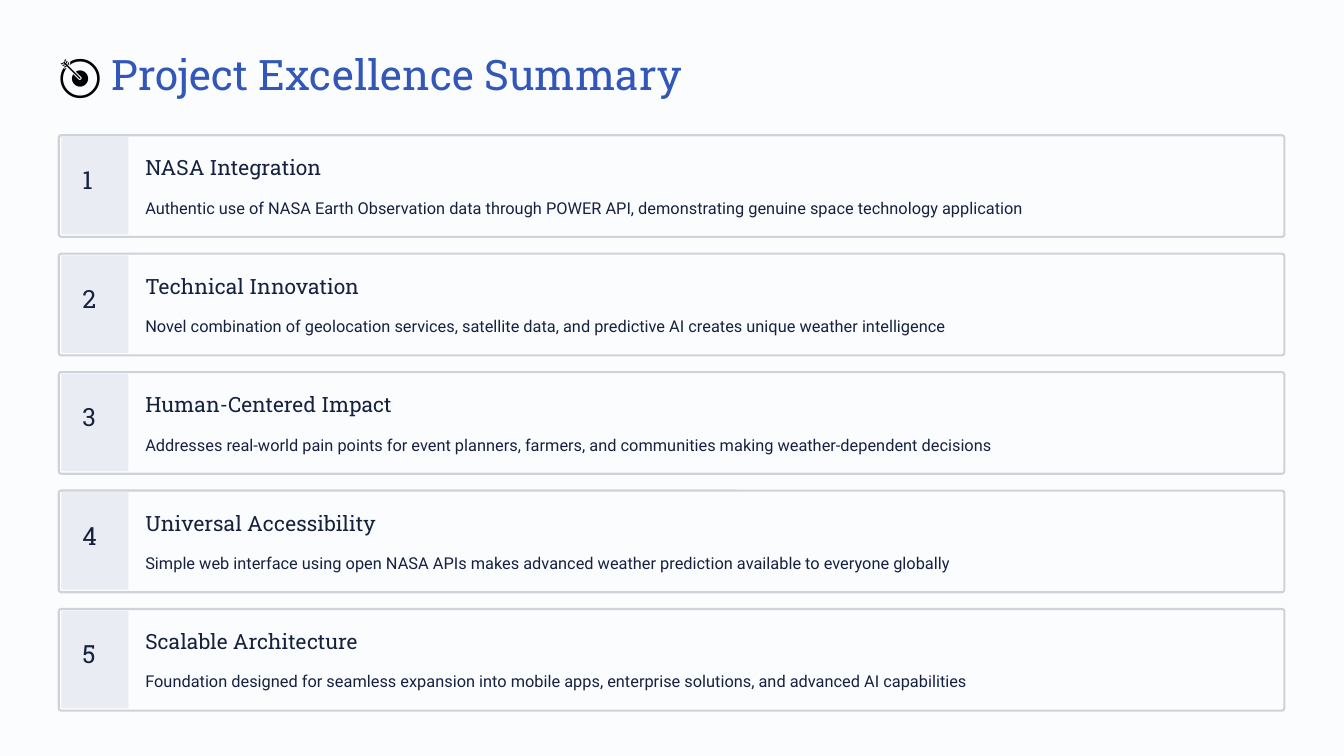
from dataclasses import dataclass
from typing import Any

from pptx import Presentation
from pptx.dml.color import RGBColor
from pptx.enum.shapes import MSO_SHAPE as Preset
from pptx.enum.text import MSO_ANCHOR as Anchor, MSO_AUTO_SIZE as AutoSize, PP_ALIGN as Align
from pptx.util import Inches, Pt

PAPER = RGBColor(0xFB, 0xFC, 0xFE)
BORDER = RGBColor(0xCF, 0xD2, 0xD8)
BADGE = RGBColor(0xE9, 0xEC, 0xF2)
INK = RGBColor(0x15, 0x21, 0x3F)
BLUE = RGBColor(0x32, 0x57, 0xB8)
BLACK = RGBColor(0, 0, 0)

FIRST_TOP = 1.61
ROW_PITCH = 1.41

FRAME_FORMAT: dict[str, Any] = {
    "auto_size": AutoSize.NONE,
    "word_wrap": True,
    "vertical_anchor": Anchor.TOP,
    "margin_left": 0,
    "margin_top": 0,
    "margin_right": 0,
    "margin_bottom": 0,
}


@dataclass(frozen=True)
class Style:
    font: str
    size: float
    leading: float


@dataclass(frozen=True)
class Strength:
    heading: str
    detail: str


TITLE = Style("Roboto Slab", 36, 45)
NUMBER = Style("Roboto Slab", 21.5, 21.5)
HEADING = Style("Roboto Slab", 18, 22.5)
DETAIL = Style("Roboto", 14, 23)

STRENGTHS = [
    Strength("NASA Integration",
             "Authentic use of NASA Earth Observation data through POWER API, "
             "demonstrating genuine space technology application"),
    Strength("Technical Innovation",
             "Novel combination of geolocation services, satellite data, "
             "and predictive AI creates unique weather intelligence"),
    Strength("Human-Centered Impact",
             "Addresses real-world pain points for event planners, farmers, "
             "and communities making weather-dependent decisions"),
    Strength("Universal Accessibility",
             "Simple web interface using open NASA APIs makes advanced "
             "weather prediction available to everyone globally"),
    Strength("Scalable Architecture",
             "Foundation designed for seamless expansion into mobile apps, "
             "enterprise solutions, and advanced AI capabilities"),
]


def apply_format(target: Any, values: dict[str, Any]) -> None:
    for key, value in values.items():
        setattr(target, key, value)


def write(frame: Any, style: Style, pieces: list[tuple[str, RGBColor]]) -> None:
    apply_format(frame, FRAME_FORMAT)
    line = frame.paragraphs[0]
    apply_format(line, {"alignment": Align.LEFT, "line_spacing": Pt(style.leading)})
    for text, color in pieces:
        run = line.add_run()
        run.text = text
        apply_format(run.font, {"name": style.font, "size": Pt(style.size)})
        run.font.color.rgb = color


def add_label(slide: Any, left: float, top: float, width: float, height: float,
              text: str, style: Style) -> None:
    label = slide.shapes.add_textbox(Inches(left), Inches(top), Inches(width), Inches(height))
    write(label.text_frame, style, [(text, INK)])


def add_panel(slide: Any, left: float, top: float, width: float, height: float,
              fill: RGBColor, rounding: float, border: RGBColor | None = None) -> None:
    panel = slide.shapes.add_shape(Preset.ROUNDED_RECTANGLE, Inches(left), Inches(top),
                                   Inches(width), Inches(height))
    panel.shadow.inherit = False
    panel.adjustments[0] = rounding
    panel.fill.solid()
    panel.fill.fore_color.rgb = fill
    if border is None:
        panel.line.fill.background()
    else:
        panel.line.color.rgb = border
        panel.line.width = Pt(1.8)


def add_strength(slide: Any, index: int, strength: Strength) -> None:
    top = FIRST_TOP + index * ROW_PITCH
    add_panel(slide, 0.7, top, 14.59, 1.21, PAPER, 0.025, BORDER)
    add_panel(slide, 0.73, top + 0.02, 0.8, 1.16, BADGE, 0)
    add_label(slide, 0.98, top + 0.41, 0.3, 0.38, str(index + 1), NUMBER)
    add_label(slide, 1.73, top + 0.22, 3, 0.31, strength.heading, HEADING)
    add_label(slide, 1.73, top + 0.66, 13.54, 0.32, strength.detail, DETAIL)


def main() -> None:
    deck = Presentation()
    apply_format(deck, {"slide_width": Inches(16), "slide_height": Inches(9)})
    slide = deck.slides.add_slide(deck.slide_layouts[5])
    slide.background.fill.solid()
    slide.background.fill.fore_color.rgb = PAPER

    title = slide.shapes.title
    apply_format(title, {"left": Inches(0.7), "top": Inches(0.55),
                         "width": Inches(7.57), "height": Inches(0.65)})
    write(title.text_frame, TITLE, [("🎯", BLACK), (" Project Excellence Summary", BLUE)])

    for index, strength in enumerate(STRENGTHS):
        add_strength(slide, index, strength)
    deck.save("out.pptx")


if __name__ == "__main__":
    main()
